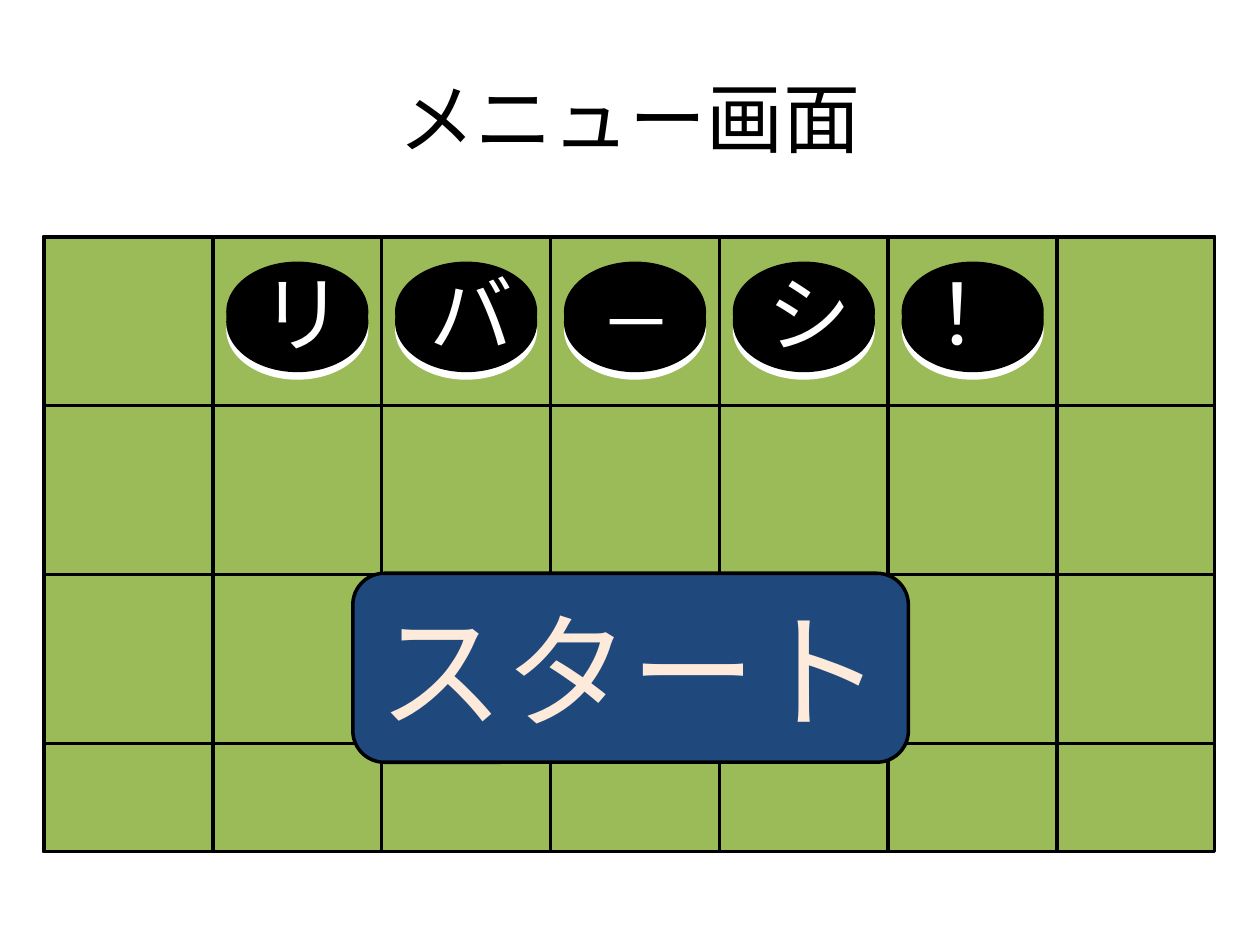
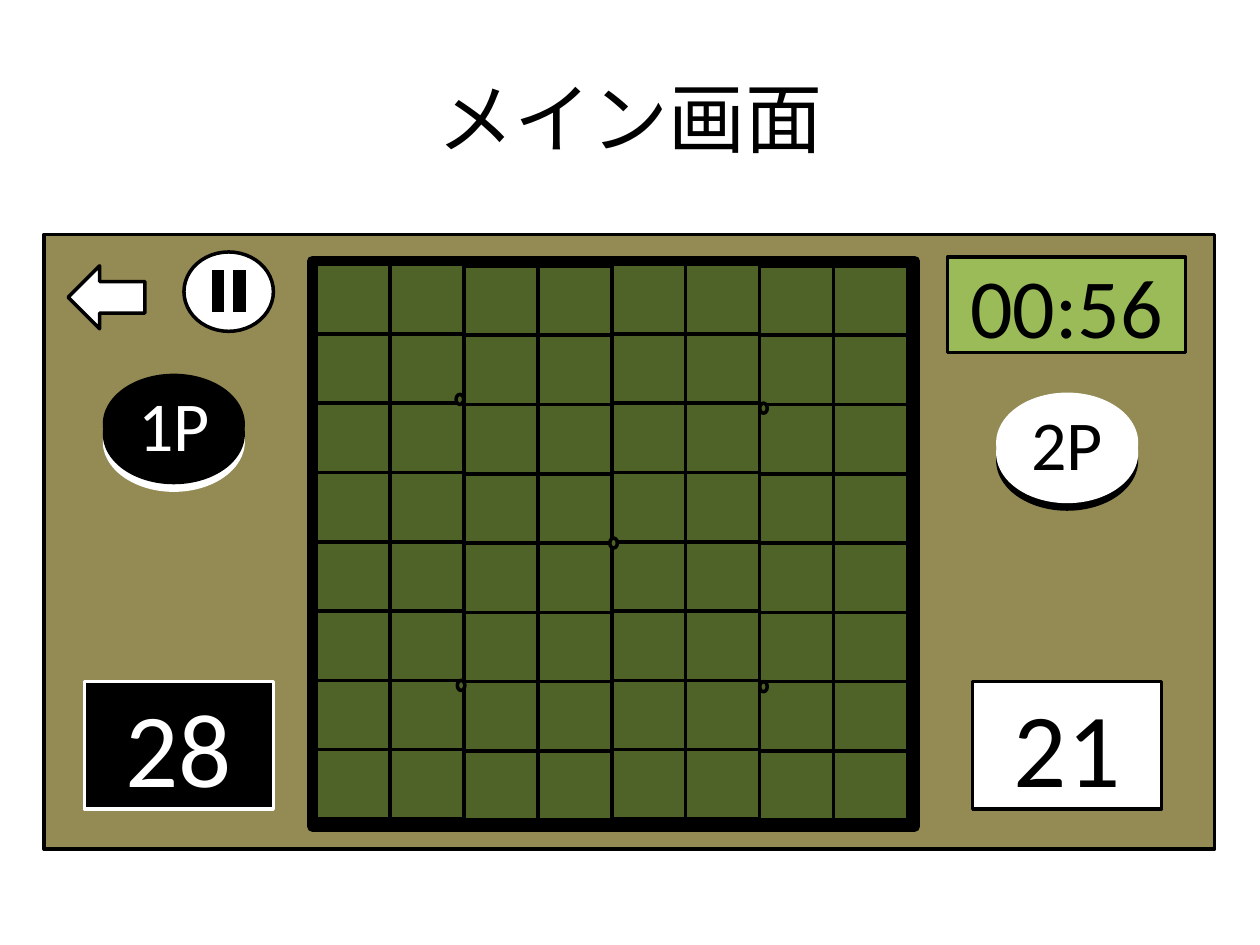
from pptx import Presentation
from pptx.dml.color import RGBColor
from pptx.enum.shapes import MSO_SHAPE
from pptx.enum.text import MSO_ANCHOR, PP_ALIGN
from pptx.util import Pt

COLORS = {
    "black": "000000",
    "white": "FFFFFF",
    "light_green": "9BBB59",
    "dark_green": "4F6228",
    "tan": "948A54",
    "navy": "1F497D",
    "cream": "FDEADA",
}
FONT = "Calibri"
COLUMNS, ROWS = 10, 7.5
TITLE_ONLY = 5
FRAME_LEFT, FRAME_WIDTH, FRAME_HEIGHT = 0.35, 9.29, 4.88
PIECE_WIDTH, PIECE_HEIGHT = 1.1, 0.77


class ScreenDeck:
    def __init__(self):
        self.presentation = Presentation()
        self.presentation.slide_width = Pt(720)
        self.presentation.slide_height = Pt(540)
        self.column = self.presentation.slide_width / COLUMNS
        self.row = self.presentation.slide_height / ROWS
        self.slide = None

    def place(self, left, top, width, height):
        return (round(left * self.column), round(top * self.row),
                round(width * self.column), round(height * self.row))

    def color(self, name):
        return RGBColor.from_string(COLORS[name])

    def label(self, shape, text, size, color):
        frame = shape.text_frame
        frame.text = text
        frame.vertical_anchor = MSO_ANCHOR.MIDDLE
        paragraph = frame.paragraphs[0]
        paragraph.alignment = PP_ALIGN.CENTER
        font = paragraph.runs[0].font
        font.name, font.size = FONT, Pt(size)
        font.color.rgb = self.color(color)

    def screen(self, title):
        layout = self.presentation.slide_layouts[TITLE_ONLY]
        self.slide = self.presentation.slides.add_slide(layout)
        shape = self.slide.shapes.title
        shape.left, shape.top, shape.width, shape.height = self.place(0.5, 0.3, 9, 1.25)
        self.label(shape, title, 44, "black")

    def shape(self, kind, box, fill=None, line="black", weight=2,
              text=None, size=None, ink="black"):
        shape = self.slide.shapes.add_shape(kind, *self.place(*box))
        shape.shadow.inherit = False
        if fill:
            shape.fill.solid()
            shape.fill.fore_color.rgb = self.color(fill)
        else:
            shape.fill.background()
        if line:
            shape.line.color.rgb = self.color(line)
            shape.line.width = Pt(weight)
        else:
            shape.line.fill.background()
        if text:
            self.label(shape, text, size, ink)

    def box(self, *box, **style):
        self.shape(MSO_SHAPE.RECTANGLE, box, **style)

    def ellipse(self, *box, **style):
        self.shape(MSO_SHAPE.OVAL, box, **style)

    def piece(self, left, top, text, size, face="black", back="white"):
        for drop, color in ((0.14, back), (0.08, face)):
            self.ellipse(left, top + drop, PIECE_WIDTH, PIECE_HEIGHT,
                         fill=color, line=color)
        self.ellipse(left, top, PIECE_WIDTH, PIECE_HEIGHT,
                     fill=face, line=face, text=text, size=size, ink=back)


def build_menu(deck):
    top, cell = 1.88, 1.34
    deck.screen("メニュー画面")
    deck.box(FRAME_LEFT, top, FRAME_WIDTH, FRAME_HEIGHT, fill="light_green")
    for column in range(6):
        deck.box(FRAME_LEFT + column * cell, top, cell, FRAME_HEIGHT)
    for row in range(3):
        deck.box(FRAME_LEFT, top + row * cell, FRAME_WIDTH, cell)
    for column, letter in enumerate("リバ―シ！", start=1):
        left = FRAME_LEFT + column * cell + (cell - PIECE_WIDTH) / 2
        deck.piece(left, 2.09, letter, 48)
    deck.shape(MSO_SHAPE.ROUNDED_RECTANGLE, (2.8, 4.55, 4.41, 1.5),
               fill="navy", text="スタート", size=72, ink="cream")


def build_board(deck):
    left, top, width, height = 2.51, 2.1, 0.59, 0.55
    deck.box(2.48, 2.07, 4.78, 4.49, fill="dark_green", weight=6)
    for column in range(8):
        shift = 0.01 * (column // 2 % 2)
        for row in range(8):
            deck.box(left + column * 4.69 / 8, top + row * height + shift,
                     width, height, fill="dark_green")
    for x, y in ((4.84, 4.27), (6.03, 3.2), (3.62, 3.13), (3.63, 5.4), (6.03, 5.41)):
        deck.ellipse(x, y, 0.06, 0.08, fill="dark_green")


def build_main(deck):
    deck.screen("メイン画面")
    deck.box(FRAME_LEFT, 1.86, FRAME_WIDTH, FRAME_HEIGHT, fill="tan")
    build_board(deck)
    deck.piece(0.83, 2.98, "1P", 40)
    deck.piece(7.92, 3.13, "2P", 40, face="white", back="black")
    for left, score, fill, ink in ((0.67, "28", "black", "white"),
                                   (7.72, "21", "white", "black")):
        deck.box(left, 5.41, 1.5, 1.01, fill=fill, line=ink,
                 text=score, size=60, ink=ink)
    deck.shape(MSO_SHAPE.LEFT_ARROW, (0.54, 2.11, 0.61, 0.5), fill="white")
    deck.box(7.52, 2.04, 1.89, 0.76, fill="light_green", text="00:56", size=48)
    deck.ellipse(1.46, 2, 0.71, 0.63, fill="white")
    for left in (1.68, 1.85):
        deck.shape(MSO_SHAPE.FLOWCHART_PROCESS, (left, 2.14, 0.1, 0.34),
                   fill="black", line=None)


deck = ScreenDeck()
build_menu(deck)
build_main(deck)
deck.presentation.save("out.pptx")
